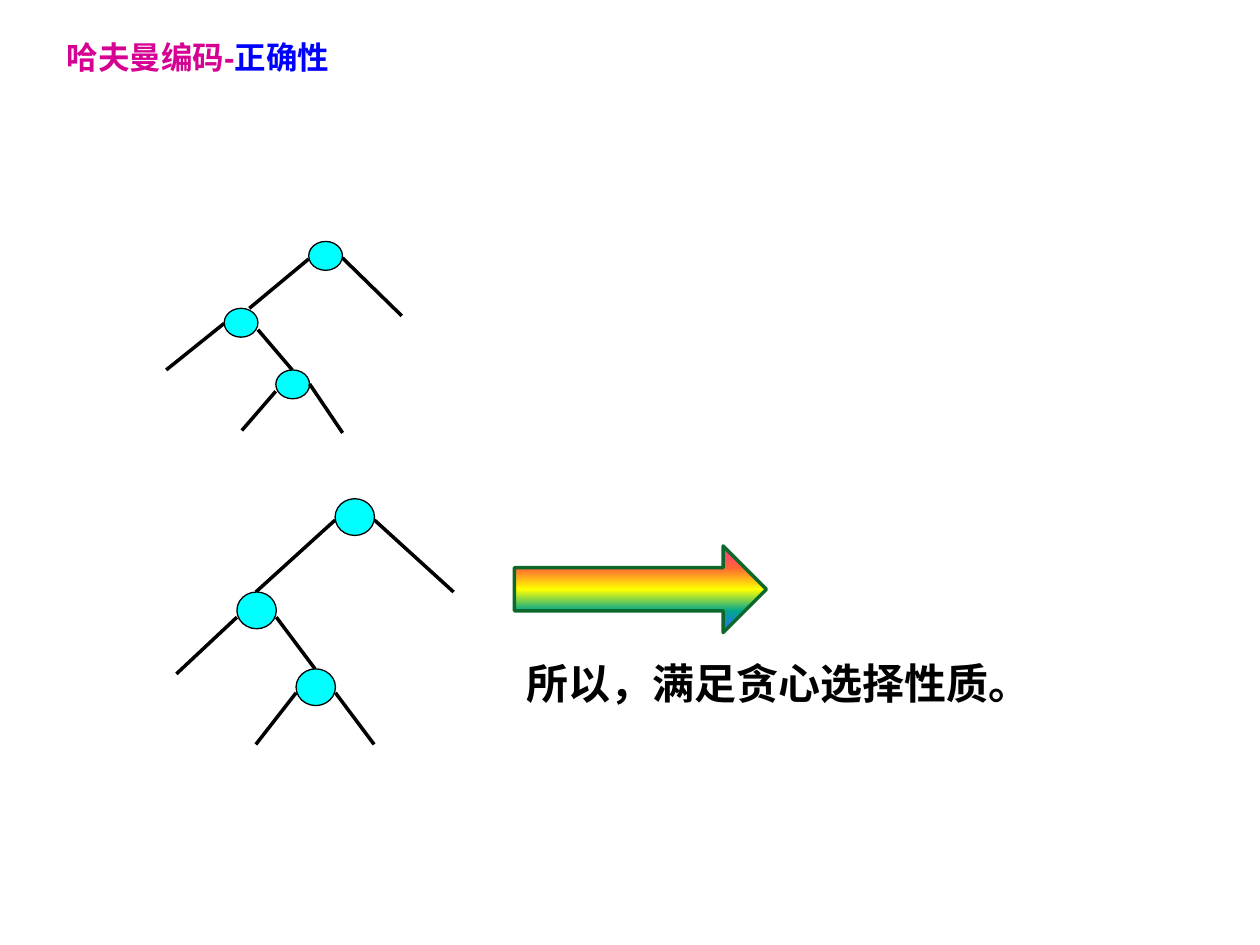
from lxml import etree
from pptx import Presentation
from pptx.dml.color import RGBColor
from pptx.enum import shapes, text
from pptx.oxml.ns import qn
from pptx.util import Pt

CHINESE_FONT = "Noto Sans CJK SC"
BLACK = "000000"
NODE_COLOR = "00FFFF"
RAINBOW = [(0, "FF3399"), (25, "FF6633"), (50, "FFFF00"),
           (75, "01A78F"), (100, "3366FF")]

# Each node: left, top, then for its left and right edge the drop of the
# start below the node's top and the end point. Measured from the tree's box.
UPPER_NODES = [
    (81.4, 0, (10, (47.5, 38.2)), (9.4, (134.6, 42.5))),
    (33.1, 38.2, (8.6, (0, 73.4)), (12.2, (72, 73.4))),
    (62.6, 73.4, (12.2, (43.2, 108)), (8, (100.8, 109.4))),
]
LOWER_NODES = [
    (90.7, 0, (12.2, (45.4, 53.3)), (12.2, (158.4, 53.3))),
    (34.6, 53.3, (14.4, (0, 100.1)), (14.4, (79.2, 97.2))),
    (68.4, 97.2, (13.7, (45.4, 140.4)), (13.7, (113, 140.4))),
]


def color(value):
    return RGBColor.from_string(value)


def set_line(shape, value, width):
    shape.line.color.rgb = color(value)
    shape.line.width = Pt(width)


def add_edge(group, start, end):
    edge = group.shapes.add_connector(
        shapes.MSO_CONNECTOR.STRAIGHT, *(Pt(v) for v in (*start, *end)))
    set_line(edge, BLACK, 2)
    etree.SubElement(edge._element.spPr, qn("a:effectLst"))


def add_tree(slide, left, top, node_size, nodes):
    group = slide.shapes.add_group_shape()
    width, height = node_size
    for x, y, left_edge, right_edge in nodes:
        x, y = left + x, top + y
        node = group.shapes.add_shape(
            shapes.MSO_SHAPE.OVAL, Pt(x), Pt(y), Pt(width), Pt(height))
        node.shadow.inherit = False
        node.fill.solid()
        node.fill.fore_color.rgb = color(NODE_COLOR)
        set_line(node, BLACK, 0.75)
        for start_x, (drop, end) in ((x, left_edge), (x + width, right_edge)):
            add_edge(group, (start_x, y + drop), (left + end[0], top + end[1]))


def fill_rainbow(shape):
    """Fill from top to bottom with every rainbow stop."""
    shape.fill.gradient()
    shape.fill.gradient_angle = 270
    stops = shape._element.spPr.find(qn("a:gradFill")).find(qn("a:gsLst"))
    for stop in list(stops):
        stops.remove(stop)
    for percent, value in RAINBOW:
        stop = etree.SubElement(stops, qn("a:gs"), pos=str(percent * 1000))
        etree.SubElement(stop, qn("a:srgbClr"), val=value)


def add_arrow(slide, left, top, width, height):
    arrow = slide.shapes.add_shape(
        shapes.MSO_SHAPE.RIGHT_ARROW, Pt(left), Pt(top), Pt(width), Pt(height))
    arrow.shadow.inherit = False
    fill_rainbow(arrow)
    set_line(arrow, "0D682C", 2)


def add_text(slide, box, runs, size, font, wrap):
    frame = slide.shapes.add_textbox(*(Pt(v) for v in box)).text_frame
    frame.word_wrap = wrap
    frame.auto_size = text.MSO_AUTO_SIZE.SHAPE_TO_FIT_TEXT
    paragraph = frame.paragraphs[0]
    for words, value in runs:
        run = paragraph.add_run()
        run.text = words
        run.font.size = Pt(size)
        run.font.bold = True
        run.font.name = font
        run.font.color.rgb = color(value)
        latin = run.font._element.find(qn("a:latin"))
        latin.addnext(etree.Element(qn("a:ea"), typeface=CHINESE_FONT))


def main():
    presentation = Presentation()
    presentation.slide_width, presentation.slide_height = Pt(720), Pt(540)
    slide = presentation.slides.add_slide(presentation.slide_layouts[6])
    add_arrow(slide, 294, 312, 144, 49.5)
    add_text(slide, (294, 372.2, 305.3, 36), [("所以，满足贪心选择性质。", BLACK)],
             24, CHINESE_FONT, False)
    add_tree(slide, 95, 138, (19.3, 16.5), UPPER_NODES)
    add_tree(slide, 100.8, 285, (22.5, 21), LOWER_NODES)
    add_text(slide, (31, 18, 233.3, 28.8),
             [("哈夫曼编码-", "D60093"), ("正确性", "0000FF")], 18, "Arial", True)
    presentation.save("out.pptx")


if __name__ == "__main__":
    main()
